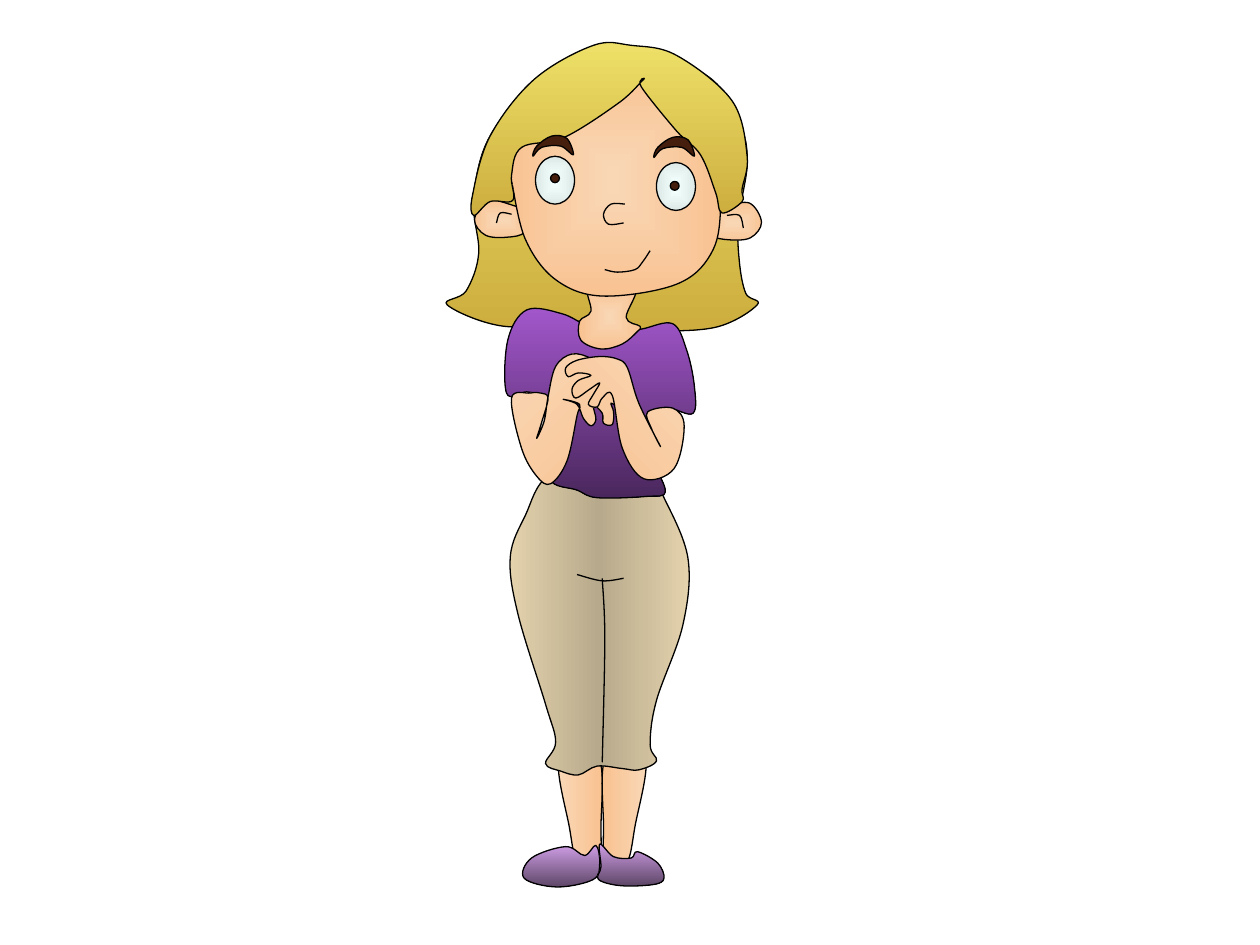
from pptx import Presentation
from pptx.dml.color import RGBColor
from pptx.enum.shapes import MSO_SHAPE as Shape
from pptx.oxml import parse_xml
from pptx.oxml.ns import nsdecls, qn
from pptx.util import Inches, Pt

# Gradients: colours in order, then the angle in degrees (None runs from the centre)
SKIN_CENTRE = (["F9D7B5", "F9C291"], None)
SKIN_LEFT_LEG = (["F9C291", "F9D7B5"], 180)
SKIN_RIGHT_LEG = (["F9D7B5", "F9C291"], 180)
SKIN_LEFT_ARM = (["F9C291", "F9D7B5"], 225)
SKIN_RIGHT_ARM = (["F9D7B5", "F9C291"], 135)
HAIR = (["EDDF67", "CDAE3F"], 90)
SHIRT = (["A156CA", "4A275D"], 90)
TROUSERS = (["E3D2AC", "B7A98B", "E3D2AC"], 180)
SHOE = (["CD9CE3", "5E4768"], 90)
EYE_WHITE = (["F2FFFC", "DDE9E6"], None)
BROWN = "451E0D"


def paint(shape, fill):
    """Black outline and a solid, gradient or empty fill."""
    shape.shadow.inherit = False
    shape.line.color.rgb = RGBColor.from_string("000000")
    shape.line.width = Pt(0.75)
    if fill is None:
        shape.fill.background()
    elif isinstance(fill, str):
        shape.fill.solid()
        shape.fill.fore_color.rgb = RGBColor.from_string(fill)
    else:
        colours, angle = fill
        stops = "".join(
            f'<a:gs pos="{100000 * i // (len(colours) - 1)}"><a:srgbClr val="{colour}"/></a:gs>'
            for i, colour in enumerate(colours))
        if angle is None:
            shading = ('<a:path path="rect"><a:fillToRect l="50000" t="50000" '
                       'r="50000" b="50000"/></a:path>')
        else:
            shading = f'<a:lin ang="{angle * 60000}" scaled="0"/>'
        shape.fill.gradient()
        properties = shape._element.spPr
        properties.replace(properties.find(qn("a:gradFill")), parse_xml(
            f'<a:gradFill {nsdecls("a")} rotWithShape="1"><a:gsLst>{stops}</a:gsLst>'
            f'{shading}</a:gradFill>'))


def draw_curve(knots, fill=None, rotation=0, mirror=None, shift=(0, 0)):
    """Smooth curve through the knots, closed when it is filled."""
    points = [tuple(map(float, knot.split(","))) for knot in knots.split()]
    if mirror:
        points = [(mirror - x, y) for x, y in points]
    points = [(Inches(x + shift[0]), Inches(y + shift[1])) for x, y in points]
    closed = fill is not None
    ring = [points[-1], *points, *points[:2]] if closed else [points[0], *points, points[-1]]
    builder = slide.shapes.build_freeform(*points[0])
    builder.add_line_segments(ring[2:-1], close=closed)
    outline = builder.convert_to_shape()
    origin = (outline.left, outline.top)
    # Bend each straight segment: a knot's tangent is parallel to the line between its neighbours
    segments = list(outline._element.iter(qn("a:lnTo")))
    for segment, before, start, end, after in zip(segments, ring, ring[1:], ring[2:], ring[3:]):
        leaving = [b + (c - a) / 6 for a, b, c in zip(before, start, end)]
        arriving = [c - (d - b) / 6 for b, c, d in zip(start, end, after)]
        handles = "".join(
            f'<a:pt x="{round(x - origin[0])}" y="{round(y - origin[1])}"/>'
            for x, y in (leaving, arriving, end))
        segment.getparent().replace(segment, parse_xml(
            f'<a:cubicBezTo {nsdecls("a")}>{handles}</a:cubicBezTo>'))
    outline.rotation = rotation
    paint(outline, fill)


deck = Presentation()
deck.slide_width, deck.slide_height = Inches(10), Inches(7.5)
slide = deck.slides.add_slide(deck.slide_layouts[6])

# Legs, the right one mirroring the left
leg = "4.44,6.01 4.52,6.57 4.59,6.86 4.75,6.83 4.77,6.56 4.75,6.01"
draw_curve(leg, SKIN_LEFT_LEG)
draw_curve(leg, SKIN_RIGHT_LEG, mirror=9.56, shift=(0, -0.01))

# Trousers
draw_curve("5.17,3.81 4.86,3.63 4.36,3.77 4.17,4.09 4.05,4.42 4.11,4.87 4.33,5.59 4.41,5.89 "
           "4.33,6.06 4.45,6.12 4.59,6.15 4.74,6.08 4.94,6.1 5.07,6.11 5.21,6.04 5.16,5.91 "
           "5.21,5.56 5.42,4.96 5.46,4.43 5.27,3.95", TROUSERS)

# Shoes
draw_curve("4.49,6.72 4.22,6.81 4.16,6.97 4.42,7.04 4.71,6.98 4.76,6.85 4.73,6.71 4.64,6.79",
           SHOE)
draw_curve("4.76,6.7 4.87,6.8 5.01,6.81 5.06,6.76 5.22,6.85 5.27,6.97 5.19,7.02 4.93,7.03 "
           "4.75,6.98 4.77,6.88", SHOE)

# Trouser seams
draw_curve("4.58,4.56 4.78,4.61 4.95,4.59")
draw_curve("4.78,4.59 4.8,5.07 4.78,6.05")

# Hair behind the head
draw_curve("5.15,0.4 4.91,0.39 4.3,0.62 3.89,1.08 3.76,1.58 3.8,2.01 3.7,2.31 3.55,2.42 "
           "4,2.59 4.62,2.55 5.08,2.62 5.67,2.6 6.01,2.42 5.92,2.33 5.87,2.09 5.86,1.75 "
           "5.93,1.31 5.88,1 5.65,0.63", HAIR)

# Shirt
draw_curve("4.9,2.65 4.67,2.59 4.46,2.49 4.18,2.46 4.03,2.7 4.02,3.12 4.18,3.11 4.31,3.14 "
           "4.36,3.18 4.36,3.44 4.36,3.8 4.58,3.89 4.74,3.95 5.13,3.94 5.28,3.9 5.17,3.62 "
           "5.13,3.3 5.3,3.24 5.5,3.28 5.51,3.06 5.45,2.78 5.34,2.57 5.1,2.61", SHIRT)

# Neck
draw_curve("4.68,2.26 4.69,2.47 4.6,2.55 4.61,2.7 4.77,2.77 4.94,2.73 5.06,2.63 5.08,2.59 "
           "4.97,2.52 5.04,2.27", SKIN_CENTRE)

# Ears, the right one mirroring the left
ear = "4.16,1.65 4.02,1.61 3.83,1.62 3.77,1.79 3.88,1.89 4.05,1.87 4.18,1.8"
draw_curve(ear, SKIN_CENTRE, rotation=12.3)
draw_curve(ear, SKIN_CENTRE, rotation=-12.4, mirror=9.81, shift=(0, 0.02))

# Face
draw_curve("4.06,1.44 4.17,1.9 4.41,2.22 4.78,2.35 5.36,2.26 5.64,2.02 5.72,1.64 5.69,0.89 "
           "5.17,0.51 4.48,0.6 4.12,0.97 4.01,1.4 4.07,1.52", SKIN_CENTRE)

# Fringe
draw_curve("5.11,0.63 4.92,0.81 4.48,1.09 4.14,1.17 4.06,1.39 4.07,1.59 3.89,1.6 3.76,1.71 "
           "3.75,1.55 3.89,1.08 4.24,0.63 4.71,0.36 5.01,0.36 5.37,0.44 5.81,0.8 5.93,1.24 "
           "5.89,1.5 5.89,1.6 5.73,1.69 5.68,1.53 5.56,1.23 5.37,1.04 5.09,0.69", HAIR)

# Arms with clasped hands
draw_curve("4.06,3.16 4.14,3.56 4.26,3.78 4.37,3.84 4.5,3.66 4.58,3.3 4.6,3.21 4.47,3.17 "
           "4.58,3.21 4.63,3.32 4.69,3.38 4.73,3.33 4.71,3.22 4.78,3.28 4.79,3.36 4.86,3.37 "
           "4.87,3.27 4.85,3.2 4.93,3.26 4.97,3.34 5.04,3.29 4.94,3.15 4.84,2.97 4.7,2.85 "
           "4.54,2.81 4.41,2.91 4.35,3.15 4.32,3.34 4.26,3.48 4.3,3.35 4.35,3.16 4.29,3.12 "
           "4.21,3.12", SKIN_LEFT_ARM)
draw_curve("5.14,3.27 5.34,3.24 5.43,3.38 5.35,3.72 5.11,3.8 4.94,3.56 4.86,3.14 4.78,3.16 "
           "4.74,3.23 4.67,3.21 4.71,3.13 4.76,3.04 4.68,3.09 4.57,3.16 4.54,3.09 4.59,3.02 "
           "4.69,2.98 4.59,2.96 4.51,2.99 4.49,2.92 4.58,2.86 4.76,2.83 4.9,2.85 4.98,2.92 "
           "5.07,3.2 5.24,3.54 5.17,3.4", SKIN_RIGHT_ARM)

# Eyes and pupils
for left, top, width, height, fill in [
    (5.21, 1.29, 0.31, 0.38, EYE_WHITE),
    (4.25, 1.24, 0.31, 0.38, EYE_WHITE),
    (5.32, 1.44, 0.07, 0.07, BROWN),
    (4.37, 1.38, 0.07, 0.07, BROWN),
]:
    eye = slide.shapes.add_shape(Shape.OVAL, Inches(left), Inches(top),
                                 Inches(width), Inches(height))
    paint(eye, fill)

# Nose
draw_curve("4.96,1.62 4.85,1.62 4.79,1.7 4.83,1.78 4.95,1.77")

# Eyebrows
for shift in [(0, 0), (0.96, 0.01)]:
    draw_curve("4.23,1.24 4.3,1.17 4.45,1.16 4.55,1.23 4.5,1.1 4.38,1.08 4.26,1.16",
               BROWN, shift=shift)

# Mouth and inner ears
draw_curve("4.8,2.14 4.9,2.16 5.04,2.14 5.1,2.08 5.16,1.99")
draw_curve("4.06,1.7 3.97,1.69 3.94,1.77")
draw_curve("5.77,1.71 5.87,1.71 5.9,1.81")

deck.save("out.pptx")
